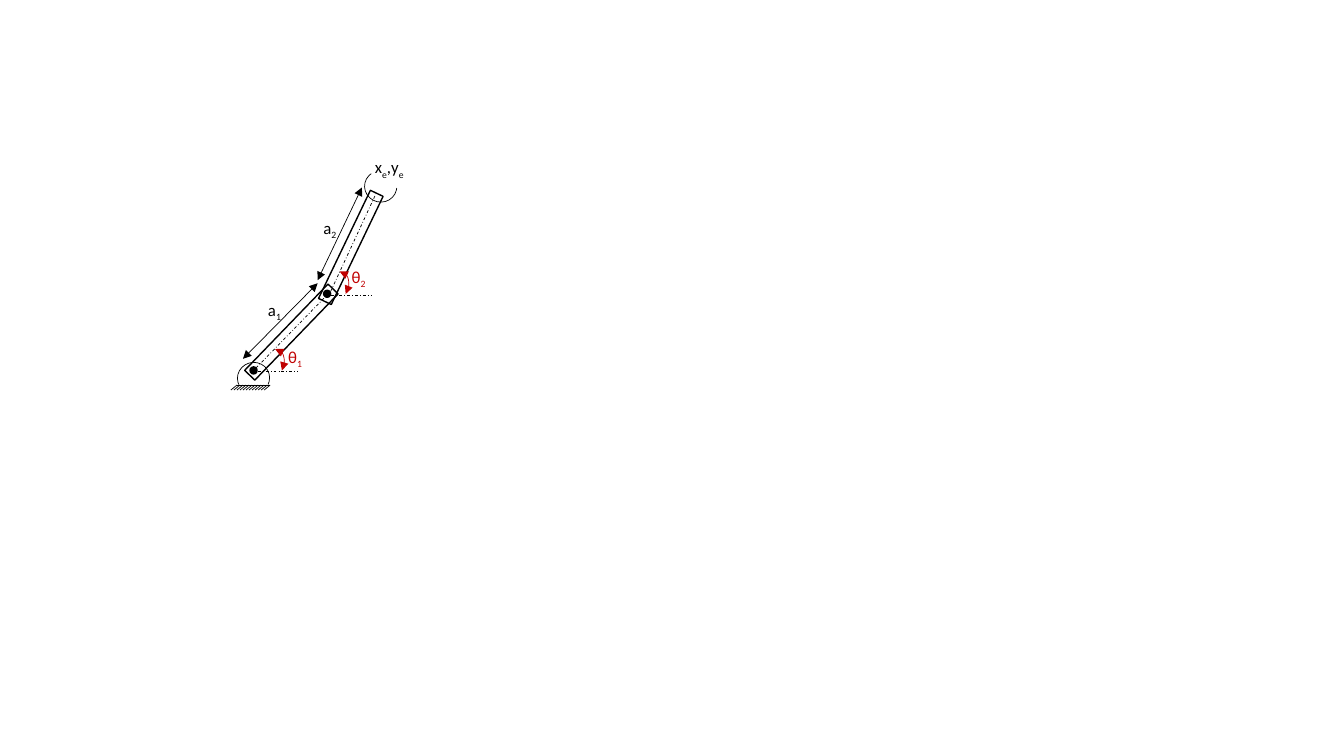
from dataclasses import dataclass
from typing import NamedTuple

from lxml.etree import SubElement
from pptx import Presentation
from pptx.dml.color import RGBColor
from pptx.dml.line import LineFormat
from pptx.enum.dml import MSO_LINE
from pptx.enum.shapes import MSO_CONNECTOR, MSO_SHAPE
from pptx.enum.text import MSO_AUTO_SIZE
from pptx.oxml.ns import qn
from pptx.slide import Slide
from pptx.util import Inches, Pt


@dataclass(frozen=True)
class Theme:
    ink: RGBColor = RGBColor(0, 0, 0)
    angle: RGBColor = RGBColor(0xC0, 0, 0)
    font: str = "Calibri"
    text_size: float = 12
    thin: float = 0.5
    thick: float = 1
    subscript: str = "-25000"


THEME = Theme()


class Outline(NamedTuple):
    kind: MSO_SHAPE
    left: float
    top: float
    width: float
    height: float
    rotation: float = 0
    filled: bool = False
    arc: tuple[float, ...] = ()
    color: RGBColor = THEME.ink
    weight: float = THEME.thick
    arrows: bool = False


class Segment(NamedTuple):
    start: tuple[float, float]
    end: tuple[float, float]
    dashed: bool = False
    arrows: bool = False


class Label(NamedTuple):
    left: float
    top: float
    width: float
    symbols: tuple[tuple[str, str], ...]
    color: RGBColor = THEME.ink


def link(left: float, top: float, rotation: float) -> Outline:
    return Outline(MSO_SHAPE.RECTANGLE, left, top, 0.14, 1.19, rotation)


def joint(left: float, top: float) -> Outline:
    return Outline(MSO_SHAPE.OVAL, left, top, 0.07, 0.07, filled=True)


def housing(left: float, top: float, rotation: float) -> Outline:
    return Outline(MSO_SHAPE.ARC, left, top, 0.31, 0.32, rotation,
                   arc=(157.42, 78.24), weight=THEME.thin)


def angle_arc(left: float, top: float, end: float) -> Outline:
    return Outline(MSO_SHAPE.ARC, left, top, 0.15, 0.25, arc=(157.48, end),
                   color=THEME.angle, weight=THEME.thin, arrows=True)


def style_line(line: LineFormat, color: RGBColor, weight: float,
               dashed: bool = False, arrows: bool = False) -> None:
    line.color.rgb = color
    line.width = Pt(weight)
    if dashed:
        line.dash_style = MSO_LINE.DASH_DOT
    if arrows:
        element = line._get_or_add_ln()
        for tag in ("a:headEnd", "a:tailEnd"):
            SubElement(element, qn(tag), type="triangle")


def draw_outline(slide: Slide, outline: Outline) -> None:
    shape = slide.shapes.add_shape(
        outline.kind, Inches(outline.left), Inches(outline.top),
        Inches(outline.width), Inches(outline.height))
    shape.rotation = outline.rotation
    shape.shadow.inherit = False
    for index, value in enumerate(outline.arc):
        shape.adjustments[index] = value
    if outline.filled:
        shape.fill.solid()
        shape.fill.fore_color.rgb = outline.color
    else:
        shape.fill.background()
    style_line(shape.line, outline.color, outline.weight, arrows=outline.arrows)


def draw_segment(slide: Slide, segment: Segment) -> None:
    points = [Inches(value) for value in segment.start + segment.end]
    connector = slide.shapes.add_connector(MSO_CONNECTOR.STRAIGHT, *points)
    style_line(connector.line, THEME.ink, THEME.thin, segment.dashed, segment.arrows)
    SubElement(connector._element.spPr, qn("a:effectLst"))


def draw_label(slide: Slide, label: Label) -> None:
    box = slide.shapes.add_textbox(Inches(label.left), Inches(label.top),
                                   Inches(label.width), Inches(0.3))
    frame = box.text_frame
    frame.word_wrap = False
    frame.auto_size = MSO_AUTO_SIZE.SHAPE_TO_FIT_TEXT
    paragraph = frame.paragraphs[0]
    for base, subscript in label.symbols:
        for text, lowered in ((base, False), (subscript, True)):
            run = paragraph.add_run()
            run.text = text
            run.font.name = THEME.font
            run.font.size = Pt(THEME.text_size)
            run.font.color.rgb = label.color
            if lowered:
                run._r.get_or_add_rPr().set("baseline", THEME.subscript)


GROUND_LEFT, GROUND_TOP = 2.35, 3.82
HATCH_COUNT, HATCH_STEP = 12, 0.03
GROUND_RIGHT = GROUND_LEFT + (HATCH_COUNT - 1) * HATCH_STEP

OUTLINES = [
    link(2.82, 2.7, 44),
    link(3.41, 1.86, 25.6),
    joint(3.21, 2.88),
    joint(2.48, 3.64),
    housing(2.36, 3.59, 253.6),
    housing(3.62, 1.69, 103.2),
    angle_arc(2.67, 3.46, 36.39),
    angle_arc(3.31, 2.69, 39.91),
]
GROUND = [Segment((GROUND_LEFT, GROUND_TOP), (GROUND_RIGHT, GROUND_TOP))] + [
    Segment((x, GROUND_TOP), (x - 0.06, GROUND_TOP + 0.05))
    for x in (GROUND_LEFT + index * HATCH_STEP for index in range(HATCH_COUNT))
]
DIMENSIONS = [
    Segment((2.41, 3.56), (3.15, 2.81), arrows=True),
    Segment((3.15, 2.78), (3.59, 1.86), arrows=True),
]
AXES = [
    Segment((2.48, 3.68), (2.95, 3.68), dashed=True),
    Segment((2.54, 3.65), (3.28, 2.89), dashed=True),
    Segment((3.28, 2.89), (3.73, 1.92), dashed=True),
    Segment((3.21, 2.93), (3.68, 2.93), dashed=True),
]
LABELS = [
    Label(2.56, 2.92, 0.34, (("a", "1"),)),
    Label(3.11, 2.11, 0.34, (("a", "2"),)),
    Label(2.76, 3.39, 0.35, (("θ", "1"),), THEME.angle),
    Label(3.39, 2.6, 0.35, (("θ", "2"),), THEME.angle),
    Label(3.62, 1.51, 0.5, (("x", "e"), (",y", "e"))),
]

presentation = Presentation()
presentation.slide_width = Inches(13.33)
presentation.slide_height = Inches(7.5)
slide = presentation.slides.add_slide(presentation.slide_layouts[6])
for outline in OUTLINES:
    draw_outline(slide, outline)
for segment in GROUND + DIMENSIONS + AXES:
    draw_segment(slide, segment)
for label in LABELS:
    draw_label(slide, label)
presentation.save("out.pptx")
